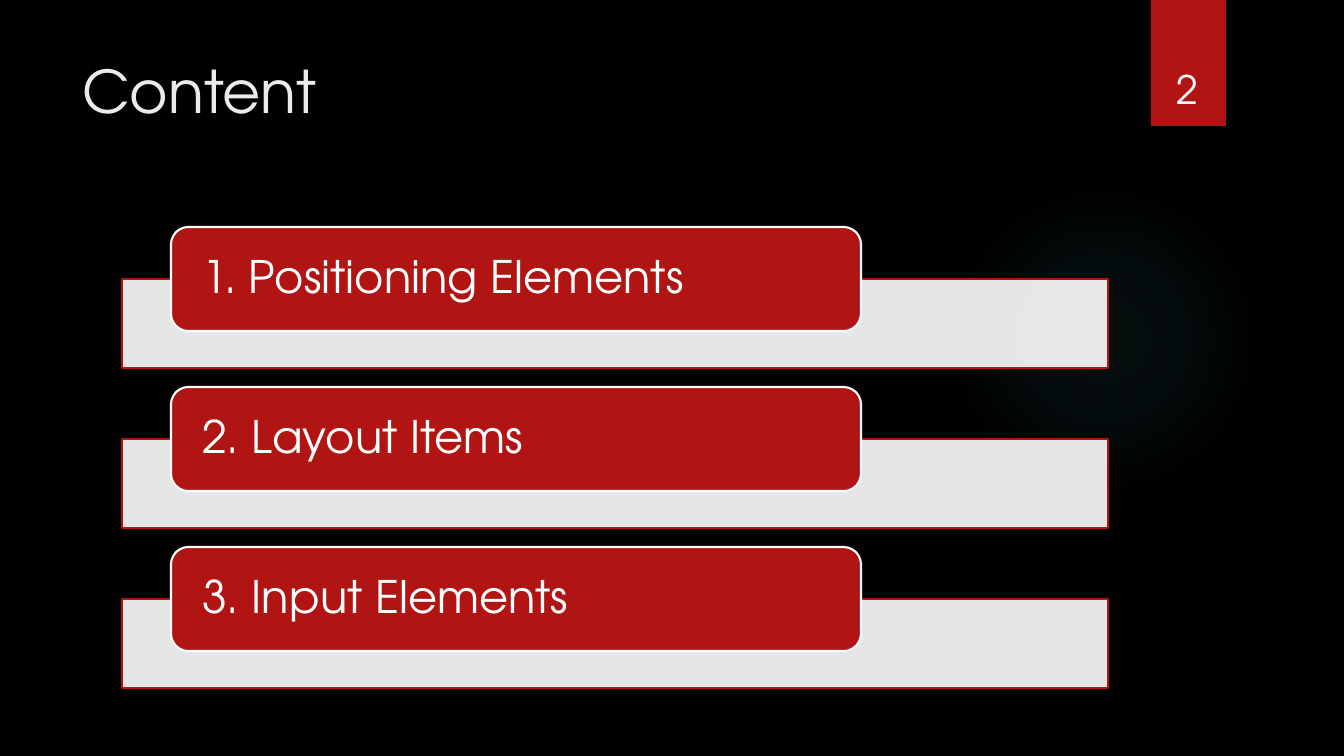
from pptx import Presentation
from pptx.dml.color import RGBColor
from pptx.enum.shapes import MSO_SHAPE
from pptx.enum.text import MSO_ANCHOR, PP_ALIGN
from pptx.oxml import parse_xml
from pptx.oxml.ns import nsdecls, qn
from pptx.util import Emu, Pt

RECT, ROUND, OVAL = MSO_SHAPE.RECTANGLE, MSO_SHAPE.ROUNDED_RECTANGLE, MSO_SHAPE.OVAL
TOP, MIDDLE, BOTTOM = MSO_ANCHOR.TOP, MSO_ANCHOR.MIDDLE, MSO_ANCHOR.BOTTOM
LEFT, CENTER = PP_ALIGN.LEFT, PP_ALIGN.CENTER
RED, WHITE, PALE, BLACK, TEAL = "B01513", "FFFFFF", "EBEBEB", "000000", "50B9C1"


def px(count):
    return Emu(round(count * 914400 / 100.8))


def color(code):
    return RGBColor.from_string(code)


class Deck:
    """Draws the dark, red-accented style onto one slide."""

    face = "TeX Gyre Adventor"

    def __init__(self):
        self.show = Presentation()
        self.show.slide_width, self.show.slide_height = px(1344), px(756)
        self.slide = self.show.slides.add_slide(self.show.slide_layouts[5])
        back = self.slide.background.fill
        back.solid()
        back.fore_color.rgb = color(BLACK)

    def letter(self, shape, text, size, ink=WHITE, align=LEFT, anchor=MIDDLE):
        frame = shape.text_frame
        frame.word_wrap = True
        frame.vertical_anchor = anchor
        frame.text = text
        para = frame.paragraphs[0]
        para.alignment = align
        para.font.name = self.face
        para.font.size = Pt(size)
        para.font.color.rgb = color(ink)
        return frame

    def title(self, text, *box):
        shape = self.slide.shapes.title
        shape.left, shape.top, shape.width, shape.height = map(px, box)
        self.letter(shape, text, 42, PALE, anchor=TOP)

    def shape(self, kind, *box):
        shape = self.slide.shapes.add_shape(kind, *map(px, box))
        shape.shadow.inherit = False
        shape.line.fill.background()
        return shape

    def block(self, kind, box, fill, line=None, alpha=100):
        shape = self.shape(kind, *box)
        shape.fill.solid()
        shape.fill.fore_color.rgb = color(fill)
        if alpha < 100:
            tint = shape.element.spPr.find(qn("a:solidFill")).find(qn("a:srgbClr"))
            tint.append(parse_xml(f'<a:alpha {nsdecls("a")} val="{alpha * 1000}"/>'))
        if line:
            shape.line.color.rgb = color(line)
            shape.line.width = Pt(1.5)
        return shape

    def glow(self, box, tint, stops):
        shape = self.shape(OVAL, *box)
        marks = "".join(
            f'<a:gs pos="{pos * 1000}"><a:srgbClr val="{tint}">'
            f'<a:alpha val="{alpha * 1000}"/></a:srgbClr></a:gs>'
            for pos, alpha in stops)
        fill = parse_xml(
            f'<a:gradFill {nsdecls("a")}><a:gsLst>{marks}</a:gsLst><a:path path="circle">'
            '<a:fillToRect l="50000" t="50000" r="50000" b="50000"/></a:path></a:gradFill>')
        shape.element.spPr.find(qn("a:prstGeom")).addnext(fill)

    def label(self, text, *box):
        shape = self.slide.shapes.add_textbox(*map(px, box))
        self.letter(shape, text, 28, align=CENTER, anchor=BOTTOM)

    def topic(self, text, top):
        self.block(RECT, (122, top + 52, 986, 89), WHITE, RED, 90)
        tab = self.block(ROUND, (171, top, 690, 104), RED, WHITE)
        frame = self.letter(tab, text, 32)
        frame.margin_left = frame.margin_right = px(26)
        frame.margin_top = frame.margin_bottom = 0
        frame.paragraphs[0].line_spacing = 0.9


def main():
    deck = Deck()
    deck.glow((949, 184, 310, 310), TEAL, [(0, 7), (36, 6), (69, 0)])
    deck.block(RECT, (1151, 0, 75, 126), RED)
    deck.title("Content", 72, 50, 1037, 154)
    topics = ["1. Positioning Elements", "2. Layout Items", "3. Input Elements"]
    for row, topic in enumerate(topics):
        deck.topic(topic, 227 + 160 * row)
    deck.label("2", 1141, 32, 93, 85)
    deck.show.save("out.pptx")


if __name__ == "__main__":
    main()
